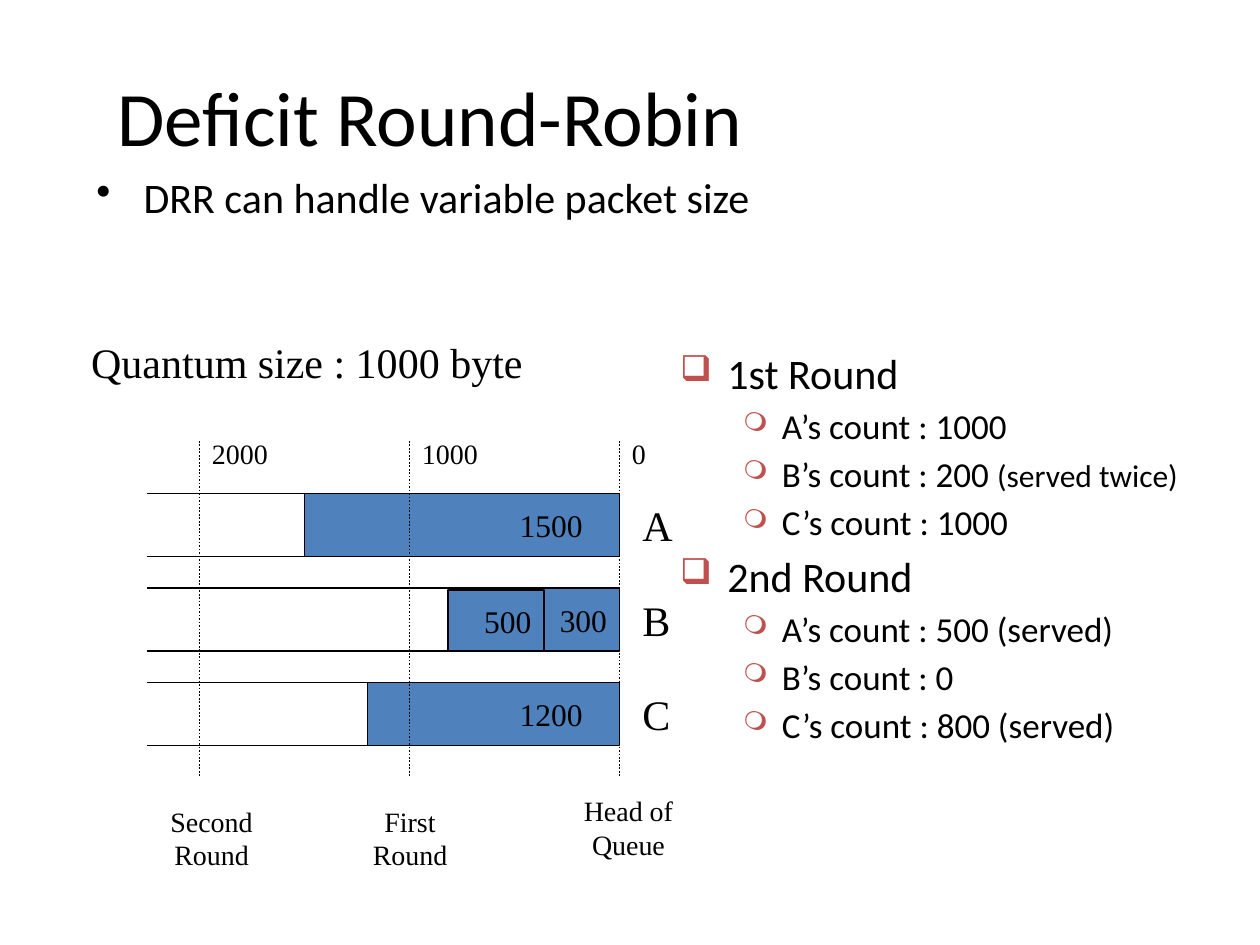
from dataclasses import dataclass

from lxml.etree import SubElement
from pptx import Presentation
from pptx.dml.color import RGBColor
from pptx.enum.dml import MSO_LINE
from pptx.enum.shapes import MSO_CONNECTOR, MSO_SHAPE
from pptx.enum.text import MSO_ANCHOR, MSO_AUTO_SIZE, PP_ALIGN
from pptx.oxml.ns import qn
from pptx.util import Pt

PX = 7620  # EMU per px, 120 px to the inch


@dataclass(frozen=True)
class Theme:
    ink: RGBColor = RGBColor(0x00, 0x00, 0x00)
    packet: RGBColor = RGBColor(0x4F, 0x81, 0xBD)
    bullet: str = "C0504D"
    sans: str = "Calibri"
    serif: str = "Times New Roman"
    title: int = 44
    large: int = 24
    item: int = 20
    packet_text: int = 18
    small: int = 16
    line: int = 1
    spacing: float = 0.18  # space before, as a share of the type size


def set_all(obj, values):
    for name, value in values.items():
        setattr(obj, name, value)


class Deck:
    def __init__(self, prs, theme):
        self.theme = theme
        self.s = prs.slides.add_slide(prs.slide_layouts[5])

    def run(self, p, text, size, font):
        r = p.add_run()
        r.text = text
        set_all(r.font, {"size": Pt(size), "name": font})
        r.font.color.rgb = self.theme.ink

    def title(self, text, x, y, w, h):
        sp = self.s.shapes.title
        set_all(sp, {"left": x * PX, "top": y * PX,
                     "width": w * PX, "height": h * PX})
        sp.text_frame.vertical_anchor = MSO_ANCHOR.MIDDLE
        p = sp.text_frame.paragraphs[0]
        p.alignment = PP_ALIGN.LEFT
        self.run(p, text, self.theme.title, self.theme.sans)

    def box(self, x, y, w, h, **frame):
        tf = self.s.shapes.add_textbox(x * PX, y * PX, w * PX, h * PX).text_frame
        set_all(tf, {"word_wrap": True, **frame})
        return tf

    def label(self, text, x, y, w, h, size, align=PP_ALIGN.LEFT, wrap=False):
        tf = self.box(x, y, w, h, word_wrap=wrap,
                      auto_size=MSO_AUTO_SIZE.SHAPE_TO_FIT_TEXT)
        for i, line in enumerate(text.split("\n")):
            p = tf.add_paragraph() if i else tf.paragraphs[0]
            p.alignment = align
            self.run(p, line, size, self.theme.serif)

    def bullets(self, items, x, y, w, h):
        """Each item is (bullet style, [(text, size), ...])."""
        tf = self.box(x, y, w, h)
        for i, (style, runs) in enumerate(items):
            p = tf.add_paragraph() if i else tf.paragraphs[0]
            p.level = style["level"]
            if i:
                p.space_before = Pt(round(runs[0][1] * self.theme.spacing, 1))
            pPr = p._p.get_or_add_pPr()
            pPr.set("marL", str(style["margin"] * PX))
            pPr.set("indent", str(-style["hang"] * PX))
            if "percent" in style:
                color = SubElement(pPr, qn("a:buClr"))
                SubElement(color, qn("a:srgbClr"), val=self.theme.bullet)
                SubElement(pPr, qn("a:buSzPct"), val=str(style["percent"] * 1000))
            SubElement(pPr, qn("a:buChar"), char=style["char"])
            for text, size in runs:
                self.run(p, text, size, self.theme.sans)

    def line(self, x1, y1, x2, y2, dash=None):
        c = self.s.shapes.add_connector(
            MSO_CONNECTOR.STRAIGHT, x1 * PX, y1 * PX, x2 * PX, y2 * PX)
        c.line.color.rgb = self.theme.ink
        set_all(c.line, {"width": Pt(self.theme.line), "dash_style": dash})
        SubElement(c._element.spPr, qn("a:effectLst"))

    def packet(self, text, x, y, w, h, inset):
        sp = self.s.shapes.add_shape(
            MSO_SHAPE.RECTANGLE, x * PX, y * PX, w * PX, h * PX)
        sp.shadow.inherit = False
        sp.fill.solid()
        sp.fill.fore_color.rgb = self.theme.packet
        sp.line.color.rgb = self.theme.ink
        sp.line.width = Pt(self.theme.line)
        tf = sp.text_frame
        set_all(tf, {"word_wrap": False, "margin_right": inset * PX,
                     "vertical_anchor": MSO_ANCHOR.MIDDLE})
        p = tf.paragraphs[0]
        p.alignment = PP_ALIGN.RIGHT
        self.run(p, text, self.theme.packet_text, self.theme.serif)


def main():
    prs = Presentation()
    set_all(prs, {"slide_width": 1200 * PX, "slide_height": 900 * PX})
    t = Theme()
    d = Deck(prs, t)

    # Heading
    dot = {"level": 0, "margin": 45, "hang": 45, "char": "•"}
    d.title("Deficit Round-Robin", 100, 35, 1060, 150)
    d.bullets([(dot, [("DRR can handle variable packet size", t.large)])],
              80, 157, 1030, 643)
    d.label("Quantum size : 1000 byte", 75, 315, 435, 60, t.large, wrap=True)

    # Queues: name, then packets as (bytes, left, top offset, width, right inset)
    tail, head, top, pitch, height = 140, 590, 470, 90, 60
    queues = [
        ("A", [("1500", 290, 0, 300, 35)]),
        ("B", [("300", 516, 0, 74, 12), ("500", 427, 2, 91, 12)]),
        ("C", [("1200", 350, 0, 240, 35)]),
    ]
    for i, (name, packets) in enumerate(queues):
        y = top + i * pitch
        d.line(tail, y, head, y)
        d.line(tail, y + height, head, y + height)
        d.line(head, y, head, y + height)
        for text, x, drop, w, inset in packets:
            d.packet(text, x, y + drop, w, height - drop, inset)
        d.label(name, 600, y, 52, 60, t.large)

    # Quantum marks, one every 200 px back from the head
    marks = [
        ("0", 37, "Head of\nQueue", 544, 750, 109),
        ("1000", 78, "First\nRound", 343, 760, 95),
        ("2000", 78, "Second\nRound", 150, 760, 103),
    ]
    for i, (count, w, caption, left, y, caption_w) in enumerate(marks):
        x = head - 200 * i
        d.line(x, 420, x, 740, MSO_LINE.ROUND_DOT)
        d.label(count, x, 410, w, 44, t.small)
        d.label(caption, left, y, caption_w, 77, t.small, PP_ALIGN.CENTER)

    # Counts after each round
    square = {"level": 0, "margin": 45, "hang": 45, "char": "❑", "percent": 85}
    circle = {"level": 1, "margin": 97, "hang": 37, "char": "❍", "percent": 75}
    d.bullets([
        (square, [("1st Round", t.large)]),
        (circle, [("A’s count : 1000", t.item)]),
        (circle, [("B’s count : 200 ", t.item), ("(served twice)", t.packet_text)]),
        (circle, [("C’s count : 1000", t.item)]),
        (square, [("2nd Round", t.large)]),
        (circle, [("A’s count : 500 (served)", t.item)]),
        (circle, [("B’s count : 0", t.item)]),
        (circle, [("C’s count : 800 (served)", t.item)]),
    ], 636, 325, 564, 575)

    prs.save("out.pptx")


if __name__ == "__main__":
    main()
